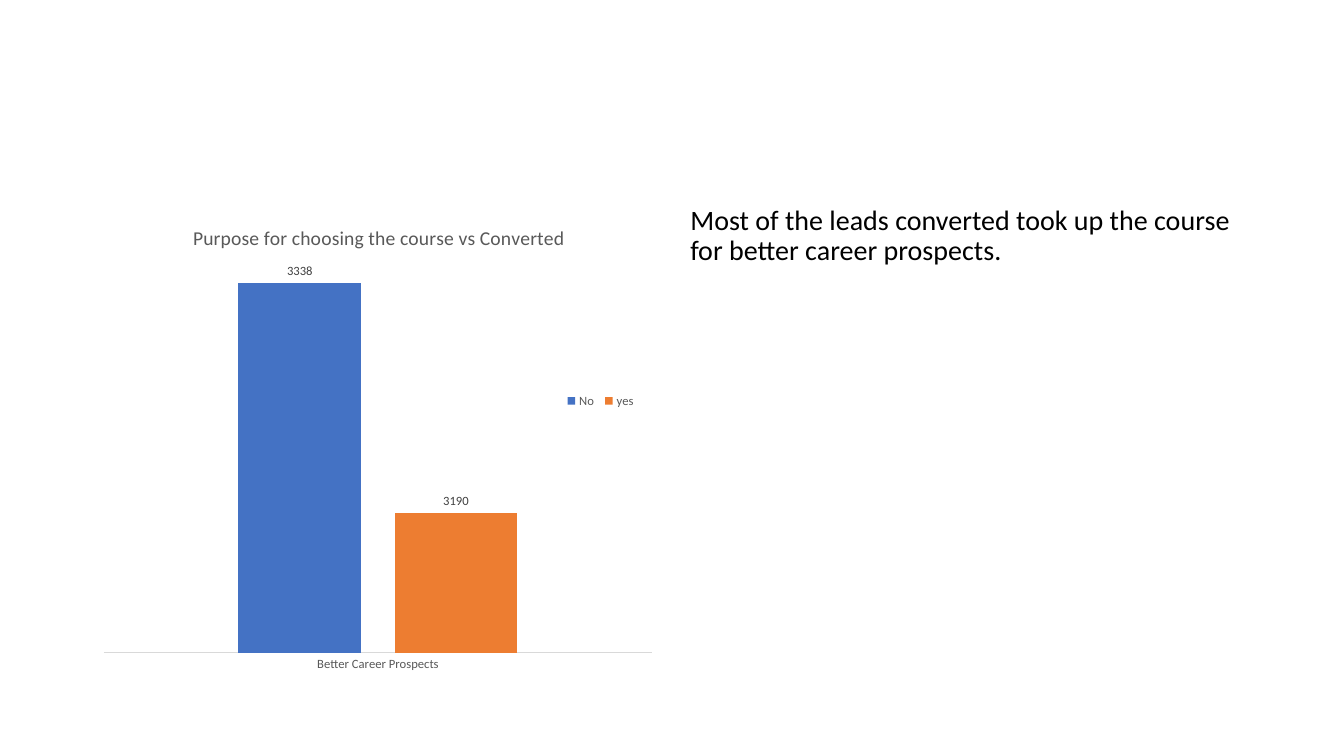
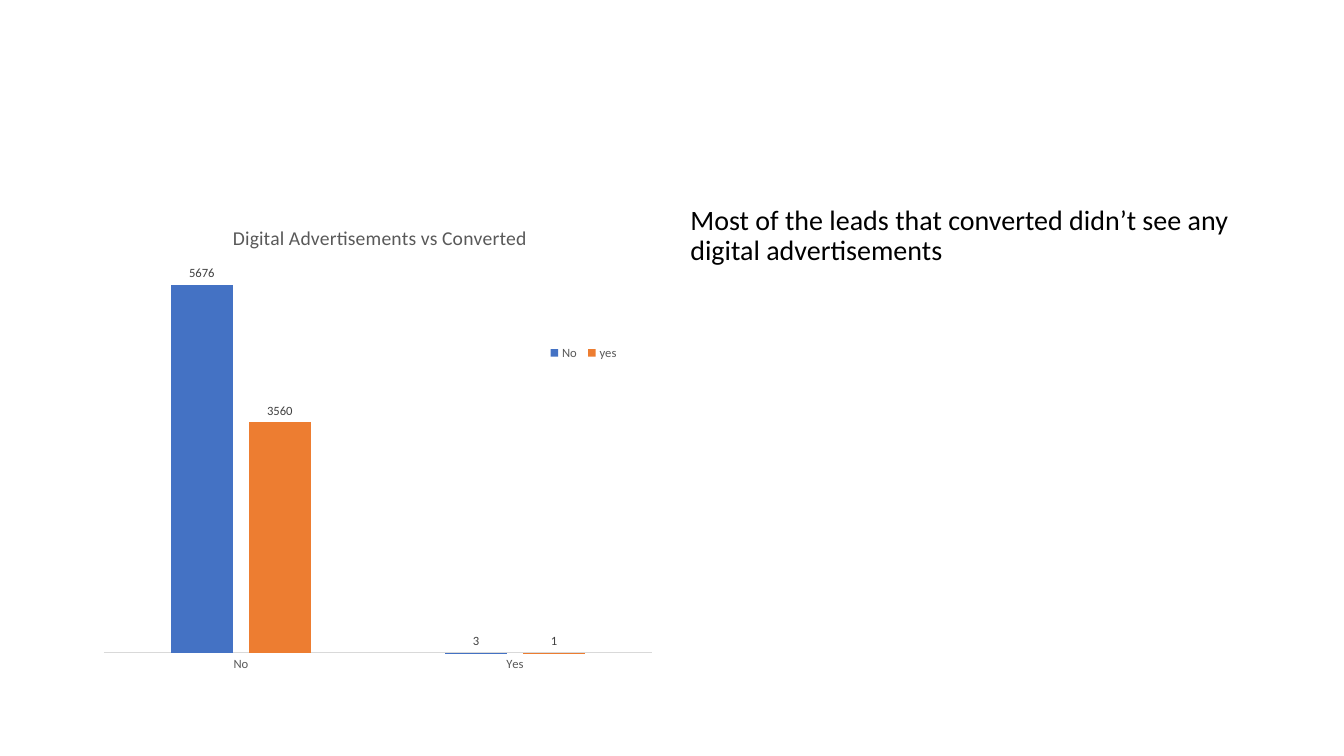
import lxml.etree
import pptx
import pptx.chart.data
import pptx.dml.color
import pptx.enum.chart
import pptx.oxml.ns
import pptx.util

Pt = pptx.util.Pt
qn = pptx.oxml.ns.qn
COLORS = {
    "text": "000000",
    "muted": "595959",
    "label": "404040",
    "axis": "D9D9D9",
    "No": "4472C4",
    "yes": "ED7D31",
}
FONT = "Calibri"
TOP, WIDE, HIGH = 144, 408, 343
LEFT, RIGHT = 66, 486
SLIDES = [
    {
        "note": "Most of the leads converted took up the course for better career prospects.",
        "title": "Purpose for choosing the course vs Converted",
        "cats": ["Better Career Prospects"],
        "data": {"No": [3338], "yes": [3190]},
        "scale": (3100, 3350),
        "head": (0.17, 0.04),
        "key": (0.82, 0.39),
    },
    {
        "note": "Most of the leads that converted didn’t see any digital advertisements",
        "title": "Digital Advertisements vs Converted",
        "cats": ["No", "Yes"],
        "data": {"No": [5676, 3], "yes": [3560, 1]},
        "scale": (0, 6000),
        "head": (0.24, 0.04),
        "key": (0.79, 0.29),
    },
]


def rgb(name):
    return pptx.dml.color.RGBColor.from_string(COLORS[name])


def style(font, size, color):
    font.name = FONT
    font.size = Pt(size)
    font.bold = False
    font.color.rgb = rgb(color)


def place(node, prior, x, y, w=None, h=None, inner=False):
    old = node.find(qn("c:layout"))
    if old is not None:
        node.remove(old)
    layout = lxml.etree.Element(qn("c:layout"))
    manual = lxml.etree.SubElement(layout, qn("c:manualLayout"))
    rows = [("layoutTarget", "inner")] if inner else []
    rows += [("xMode", "edge"), ("yMode", "edge"), ("x", x), ("y", y)]
    if w is not None:
        rows += [("w", w), ("h", h)]
    for tag, val in rows:
        lxml.etree.SubElement(manual, qn("c:" + tag)).set("val", str(val))
    if prior:
        node.find(qn(prior)).addnext(layout)
    else:
        node.insert(0, layout)


def add_note(slide, text):
    frame = slide.shapes.add_textbox(Pt(RIGHT), Pt(TOP), Pt(WIDE), Pt(HIGH)).text_frame
    frame.word_wrap = True
    para = frame.paragraphs[0]
    para.line_spacing = 0.9
    run = para.add_run()
    run.text = text
    style(run.font, 20, "text")


def add_head(chart, text, spot):
    chart.has_title = True
    title = chart.chart_title
    run = title.text_frame.paragraphs[0].add_run()
    run.text = text
    style(run.font, 14, "muted")
    title.include_in_layout = False
    place(title._element, "c:tx", *spot)


def add_key(chart, spot):
    chart.has_legend = True
    key = chart.legend
    key.position = pptx.enum.chart.XL_LEGEND_POSITION.BOTTOM
    key.include_in_layout = True
    style(key.font, 9, "muted")
    place(key._element, "c:legendPos", *spot, 0.14, 0.05)


def set_axes(chart, scale):
    axis = chart.category_axis
    axis.major_tick_mark = pptx.enum.chart.XL_TICK_MARK.NONE
    axis.format.line.color.rgb = rgb("axis")
    axis.format.line.width = Pt(0.75)
    style(axis.tick_labels.font, 9, "muted")
    values = chart.value_axis
    values.minimum_scale, values.maximum_scale = scale
    values.has_major_gridlines = False
    values.visible = False


def set_bars(plot):
    plot.gap_width = 219
    plot.overlap = -27
    plot.vary_by_categories = False
    for bars in plot.series:
        bars.format.fill.solid()
        bars.format.fill.fore_color.rgb = rgb(bars.name)
        bars.invert_if_negative = False
        labels = bars.data_labels
        labels.show_value = True
        labels.position = pptx.enum.chart.XL_LABEL_POSITION.OUTSIDE_END
        style(labels.font, 9, "label")


def add_bars(slide, item):
    data = pptx.chart.data.CategoryChartData()
    data.categories = item["cats"]
    for name, vals in item["data"].items():
        data.add_series(name, vals)
    kind = pptx.enum.chart.XL_CHART_TYPE.COLUMN_CLUSTERED
    chart = slide.shapes.add_chart(
        kind, Pt(LEFT), Pt(TOP), Pt(WIDE), Pt(HIGH), data
    ).chart
    style(chart.font, 10, "text")
    add_head(chart, item["title"], item["head"])
    add_key(chart, item["key"])
    set_axes(chart, item["scale"])
    set_bars(chart.plots[0])
    area = chart._chartSpace.chart.plotArea
    place(area, None, 0.02, 0.13, 0.96, 0.81, inner=True)


def main():
    deck = pptx.Presentation()
    deck.slide_width, deck.slide_height = Pt(960), Pt(540)
    for item in SLIDES:
        slide = deck.slides.add_slide(deck.slide_layouts[6])
        add_note(slide, item["note"])
        add_bars(slide, item)
    deck.save("out.pptx")


if __name__ == "__main__":
    main()
